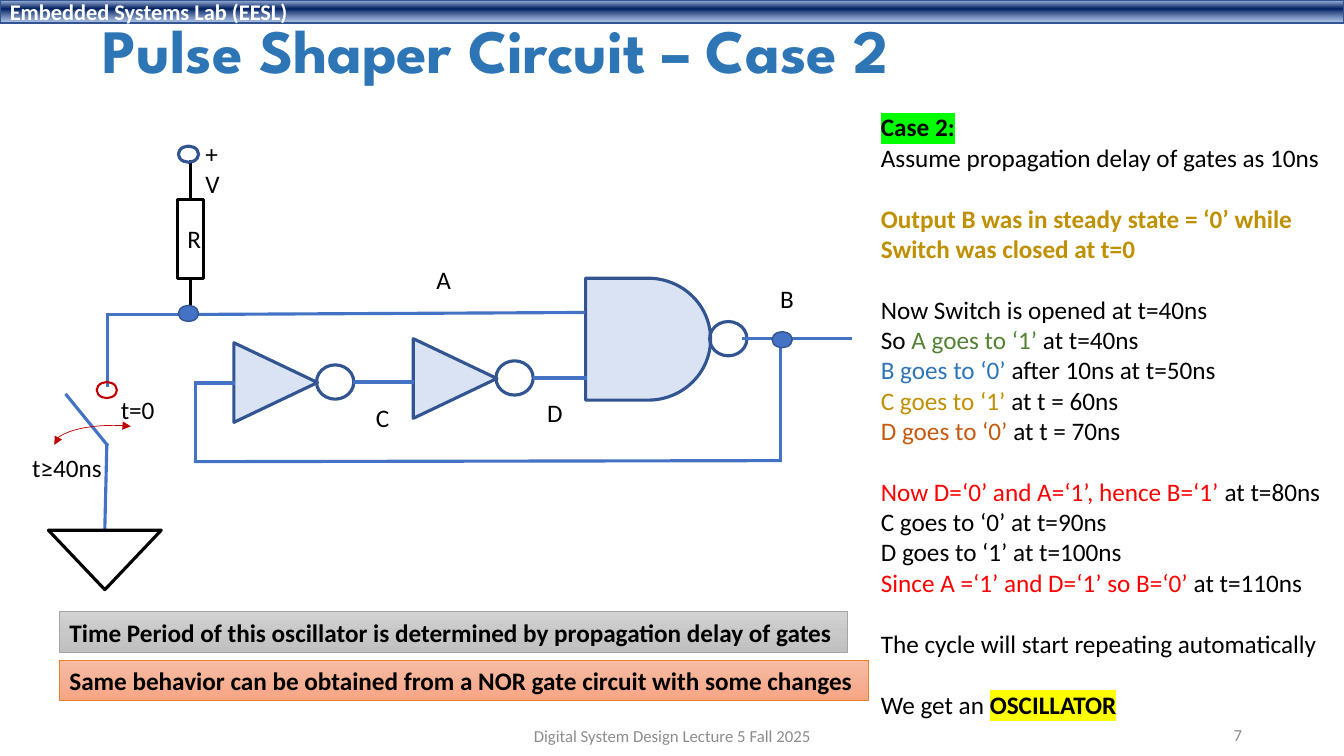
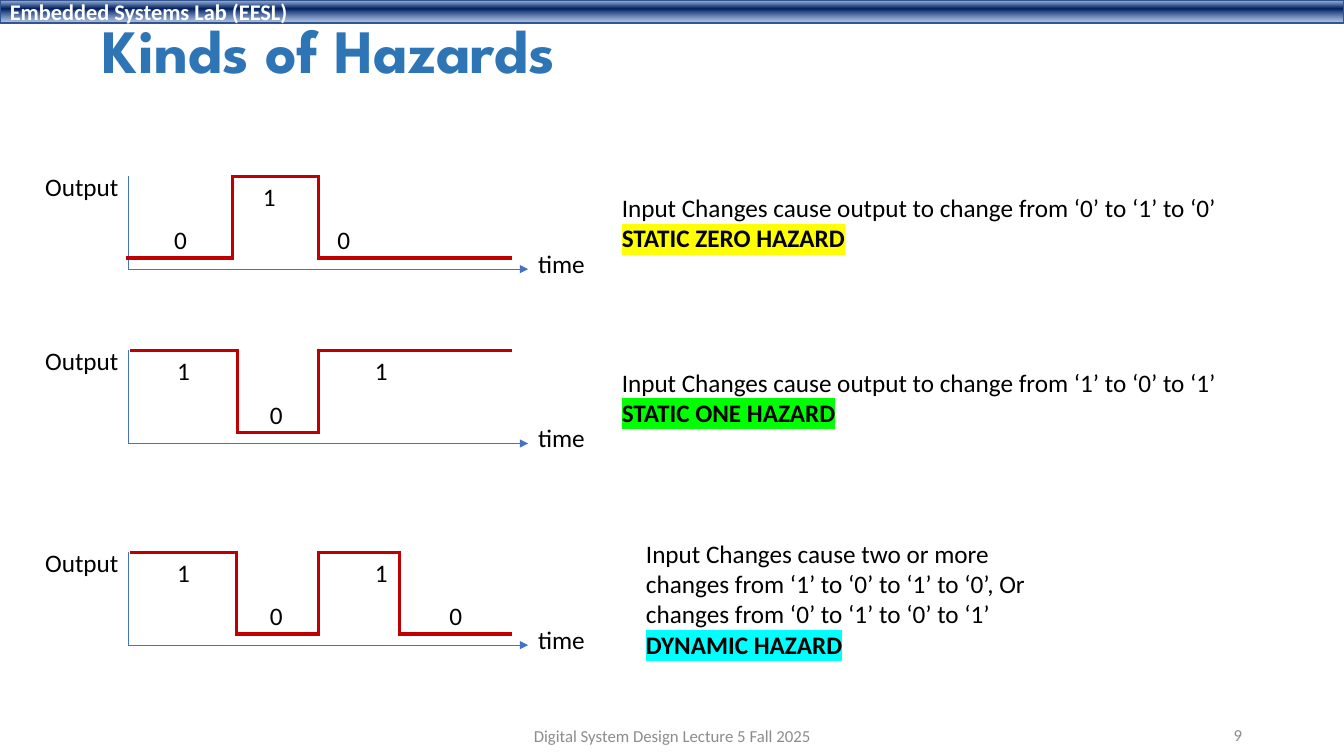
from lxml import etree
from pptx import Presentation
from pptx import util as u
from pptx.dml.color import RGBColor
from pptx.enum import shapes, text
from pptx.oxml.ns import qn

# Grid: square cells, ten to the inch
CELL = u.Inches(0.1)
WIDE, HIGH = 133.33, 75
BLACK, WHITE, GREY = "000000", "FFFFFF", "8C8C8C"
BLUE, NAVY, PALE, SKY = "4472C4", "325491", "DAE3F3", "2E75B6"
RED, WARM, GOLD, GREEN, RUST = "C00000", "FF0000", "BF9000", "548235", "C55A11"
LIME, YELLOW, CYAN = "00FF00", "FFFF00", "00FFFF"
BODY, HEAD = "Calibri", "League Spartan"
KIND = shapes.MSO_SHAPE
LEFT, MID, RIGHT = text.PP_ALIGN.LEFT, text.PP_ALIGN.CENTER, text.PP_ALIGN.RIGHT
LINE = 22  # height of one 18 pt text line


def cells(*nums):
    return [round(n * CELL) for n in nums]


def rgb(code):
    return RGBColor.from_string(code)


def sub(top, tag, **attrs):
    return etree.SubElement(top, qn(tag), attrs)


def style(font, size=18, color=BLACK, bold=False, name=BODY):
    font.size, font.bold, font.name = u.Pt(size), bold, name
    font.color.rgb = rgb(color)


# Text
def add_run(para, words, color=None, bold=None, mark=None):
    run = para.add_run()
    run.text = words
    if bold:
        run.font.bold = True
    if color:
        run.font.color.rgb = rgb(color)
    if mark:
        glow = sub(run.font._element, "a:highlight")
        sub(glow, "a:srgbClr", val=mark)


def write(frame, blocks, align=LEFT, **look):
    """Blocks hold lines, lines hold runs; blocks are one line apart."""
    first = True
    for block in blocks:
        for spot, line in enumerate(block):
            para = frame.paragraphs[0] if first else frame.add_paragraph()
            para.alignment = align
            if spot == 0 and not first:
                para.space_before = u.Pt(LINE)
            style(para.font, **look)
            for run in line:
                add_run(para, *run)
            first = False


def plain(words):
    return [[[(words,)]]]


def label(page, place, blocks, wrap=False, mid=False, **look):
    frame = page.shapes.add_textbox(*cells(*place)).text_frame
    frame.word_wrap = wrap
    if mid:
        frame.vertical_anchor = text.MSO_ANCHOR.MIDDLE
    else:
        frame.auto_size = text.MSO_AUTO_SIZE.SHAPE_TO_FIT_TEXT
    write(frame, blocks, **look)


# Shapes and lines
def shape(page, kind, place, line, width=2.25, fill=None, turn=0):
    item = page.shapes.add_shape(kind, *cells(*place))
    item.shadow.inherit = False
    item.rotation = turn
    if fill:
        item.fill.solid()
        item.fill.fore_color.rgb = rgb(fill)
    else:
        item.fill.background()
    item.line.color.rgb = rgb(line)
    item.line.width = u.Pt(width)
    return item


def blend(item, stops):
    """Fill a shape with a vertical gradient of (percent, colour, alpha)."""
    props = item.element.spPr
    grad = etree.Element(qn("a:gradFill"), rotWithShape="1")
    row = sub(grad, "a:gsLst")
    for pos, color, alpha in stops:
        stop = sub(row, "a:gs", pos=str(pos * 1000))
        tint = sub(stop, "a:srgbClr", val=color)
        if alpha < 100:
            sub(tint, "a:alpha", val=str(alpha * 1000))
    sub(grad, "a:lin", ang="5400000", scaled="0")
    props.replace(props.find(qn("a:noFill")), grad)


def tip(item, *ends):
    for end in ends:
        sub(item.element.spPr.find(qn("a:ln")), end, type="triangle")


def wire(page, *points, color=BLUE, width=2.25, arrow=False):
    """Join the points by straight lines."""
    for start, stop in zip(points, points[1:]):
        item = page.shapes.add_connector(
            shapes.MSO_CONNECTOR.STRAIGHT, *cells(*start, *stop))
        item.line.color.rgb = rgb(color)
        item.line.width = u.Pt(width)
        props = item.element.spPr
        props.find(qn("a:ln")).set("cap", "sq")
        if arrow:
            tip(item, "a:tailEnd")
        sub(props, "a:effectLst")


def banner(page, place, words, line, tones):
    item = shape(page, KIND.RECTANGLE, place, line, 0.5)
    blend(item, [(n * 50, tone, 100) for n, tone in enumerate(tones)])
    item.text_frame.word_wrap = False
    write(item.text_frame, plain(words), bold=True)


# Parts that both slides share
def band(page, layout):
    item = shape(page, KIND.RECTANGLE, (0, 0, WIDE, 2.3), NAVY, 1)
    blend(item, [(2, "ABC0E4", 100), (38, "002060", 100), (93, "7E9ED6", 64)])
    item.text_frame.vertical_anchor = text.MSO_ANCHOR.MIDDLE
    write(item.text_frame, plain("Embedded Systems Lab (EESL)"),
          size=16, color=WHITE, bold=True)
    layout.shapes.element.append(item.element)


def start(deck, title, number):
    layout = deck.slide_layouts[5]
    page = deck.slides.add_slide(layout)
    if len(deck.slides) == 1:
        band(page, layout)
    head = page.shapes.title
    head.left, head.top, head.width, head.height = cells(9.2, 1.5, 115, 7.7)
    frame = head.text_frame
    frame.auto_size = text.MSO_AUTO_SIZE.NONE
    frame.vertical_anchor = text.MSO_ANCHOR.MIDDLE
    write(frame, plain(title), size=44, color=SKY, bold=True, name=HEAD)
    frame.paragraphs[0].line_spacing = 0.9
    foot = dict(wrap=True, mid=True, size=12, color=GREY)
    label(page, (44.2, 71, 45, 4),
          plain("Digital System Design Lecture 5 Fall 2025"), align=MID, **foot)
    label(page, (94.2, 70.9, 30, 4), plain(number), align=RIGHT, **foot)
    return page


# Circuit slide
def gate(page, left, top):
    """An inverter: a triangle and its bubble."""
    shape(page, KIND.ISOSCELES_TRIANGLE, (left, top, 7.9, 8.3),
          NAVY, fill=PALE, turn=90)
    bubble(page, left + 8, top + 2.4)


def bubble(page, left, top):
    shape(page, KIND.OVAL, (left, top, 3.7, 3.4), NAVY)


def node(page, left, top, line=NAVY, width=1, fill=None):
    shape(page, KIND.OVAL, (left, top, 2, 1.6), line, width, fill)


def circuit(page):
    # Supply and resistor
    box = shape(page, KIND.RECTANGLE, (17.6, 19.8, 2.6, 7.8), BLACK)
    box.text_frame.vertical_anchor = text.MSO_ANCHOR.MIDDLE
    write(box.text_frame, plain("R"), align=MID)
    for top, low in ((16, 19.8), (27.7, 31.3)):
        wire(page, (18.9, top), (18.9, low), color=BLACK)
    # Gates
    gate(page, 23.4, 33.8)
    gate(page, 41.2, 33.4)
    shape(page, KIND.FLOWCHART_DELAY, (58.1, 27.6, 12.4, 12.1),
          NAVY, fill=PALE)
    bubble(page, 70.4, 31.9)
    # Wires
    wire(page, (57.9, 31), (18.8, 31.2), (10.7, 31.2), (10.7, 38.2))
    wire(page, (35.2, 37.9), (40.9, 37.9))
    wire(page, (53, 37.5), (58.1, 37.5))
    wire(page, (73.8, 33.6), (84.4, 33.6))
    wire(page, (77.4, 33.6), (77.4, 45.7), (19.4, 45.8), (19.4, 38), (23.2, 38))
    # Switch and ground
    wire(page, (6.6, 39.2), (10.6, 44.1), (10.4, 52.5))
    shape(page, KIND.ISOSCELES_TRIANGLE, (4.8, 52.6, 11.2, 5.9),
          BLACK, turn=180)
    swing = shape(page, KIND.ARC, (5.4, 42.2, 11.6, 3.8), RED, 0.5)
    swing.adjustments[0], swing.adjustments[1] = 107.79, 188.71
    tip(swing, "a:headEnd", "a:tailEnd")
    # Terminals and junctions
    node(page, 9.6, 37.9, RED, 1.5)
    node(page, 17.7, 14.5, width=2.25)
    node(page, 17.7, 30.3, fill=BLUE)
    node(page, 76.6, 32.9, fill=BLUE)
    # Names
    label(page, (19.4, 13.2, 4.6, 4), plain("+V"), wrap=True)
    for words, left, top, width in (
            ("A", 42.3, 25.7, 3.4), ("B", 76.4, 27.6, 3.4),
            ("C", 36.3, 39.4, 3.4), ("D", 53.3, 38.9, 3.5),
            ("t=0", 11, 38.6, 5.4), ("t≥40ns", 2.2, 44.4, 9)):
        label(page, (left, top, width, 4), plain(words))


def pulse(deck):
    page = start(deck, "Pulse Shaper Circuit – Case 2", "7")
    circuit(page)
    label(page, (86.4, 10.6, 46.1, 64.6), [
        [[("Case 2:", None, True, LIME)],
         [("Assume propagation delay of gates as 10ns",)]],
        [[("Output B was in steady state = ‘0’ while", GOLD, True)],
         [("Switch was closed at t=0", GOLD, True)]],
        [[("Now Switch is opened at t=40ns",)],
         [("So ",), ("A goes to ‘1’ ", GREEN), ("at t=40ns",)],
         [("B goes to ‘0’ ", SKY), ("after 10ns at t=50ns",)],
         [("C goes to ‘1’ ", GOLD), ("at t = 60ns",)],
         [("D goes to ‘0’ ", RUST), ("at t = 70ns",)]],
        [[("Now D=‘0’ and A=‘1’, hence B=‘1’ ", WARM), ("at t=80ns",)],
         [("C goes to ‘0’ at t=90ns",)],
         [("D goes to ‘1’ at t=100ns",)],
         [("Since A =‘1’ and D=‘1’ so B=‘0’ ", WARM), ("at t=110ns",)]],
        [[("The cycle will start repeating automatically",)]],
        [[("We get an ",), ("OSCILLATOR", None, True, YELLOW)]],
    ])
    banner(page, (5.9, 60.7, 78.2, 4),
           "Time Period of this oscillator is determined by "
           "propagation delay of gates",
           "A5A5A5", ("D2D2D2", "C8C8C8", "C0C0C0"))
    banner(page, (5.9, 65.5, 80.3, 4),
           "Same behavior can be obtained from a NOR gate circuit "
           "with some changes",
           "ED7D31", ("F7BDA5", "F5B196", "F8A582"))


# Hazard slide
def plot(page, top, bits, edges, spots):
    """A timing chart: one level for each bit, between two edges."""
    base = top + 9.2
    wire(page, (12.7, base), (12.7, top), width=0.5)
    wire(page, (12.7, base), (52.4, base), width=0.5, arrow=True)
    path = []
    for bit, left, right in zip(bits, edges, edges[1:]):
        level = top if bit == "1" else top + 8.1
        path += [(left, level), (right, level)]
    wire(page, *path, color=RED)
    for bit, spot in zip(bits, spots):
        drop = 0 if bit == "1" else 4.3
        label(page, (spot, top + drop, 3.3, 4), plain(bit))
    label(page, (3.5, top - 1, 9.4, 4), plain("Output"))
    label(page, (52.4, top + 6.6, 6.7, 4), plain("time"))


def hazard(page, place, lines, name, mark):
    label(page, place,
          [[[(line,)] for line in lines] + [[(name, None, True, mark)]]])


def kinds(deck):
    page = start(deck, "Kinds of Hazards", "9")
    plot(page, 17.5, "010", (12.7, 23.1, 31.6, 50.6), (16.3, 25.1, 32.5))
    plot(page, 34.8, "101", (13.1, 23.6, 31.6, 50.6), (16.6, 25.8, 36.2))
    plot(page, 54.8, "1010", (13.1, 23.5, 31.6, 39.6, 50.6),
         (16.6, 25.8, 36.2, 43.6))
    hazard(page, (60.7, 18.6, 61.7, 7.1),
           ["Input Changes cause output to change from ‘0’ to ‘1’ to ‘0’"],
           "STATIC ZERO HAZARD", YELLOW)
    hazard(page, (60.7, 35.9, 61.7, 7.1),
           ["Input Changes cause output to change from ‘1’ to ‘0’ to ‘1’"],
           "STATIC ONE HAZARD", LIME)
    hazard(page, (63.1, 52.9, 40.1, 13.1),
           ["Input Changes cause two or more",
            "changes from ‘1’ to ‘0’ to ‘1’ to ‘0’, Or",
            "changes from ‘0’ to ‘1’ to ‘0’ to ‘1’"],
           "DYNAMIC HAZARD", CYAN)


def main():
    deck = Presentation()
    deck.slide_width, deck.slide_height = cells(WIDE, HIGH)
    pulse(deck)
    kinds(deck)
    deck.save("out.pptx")


if __name__ == "__main__":
    main()
